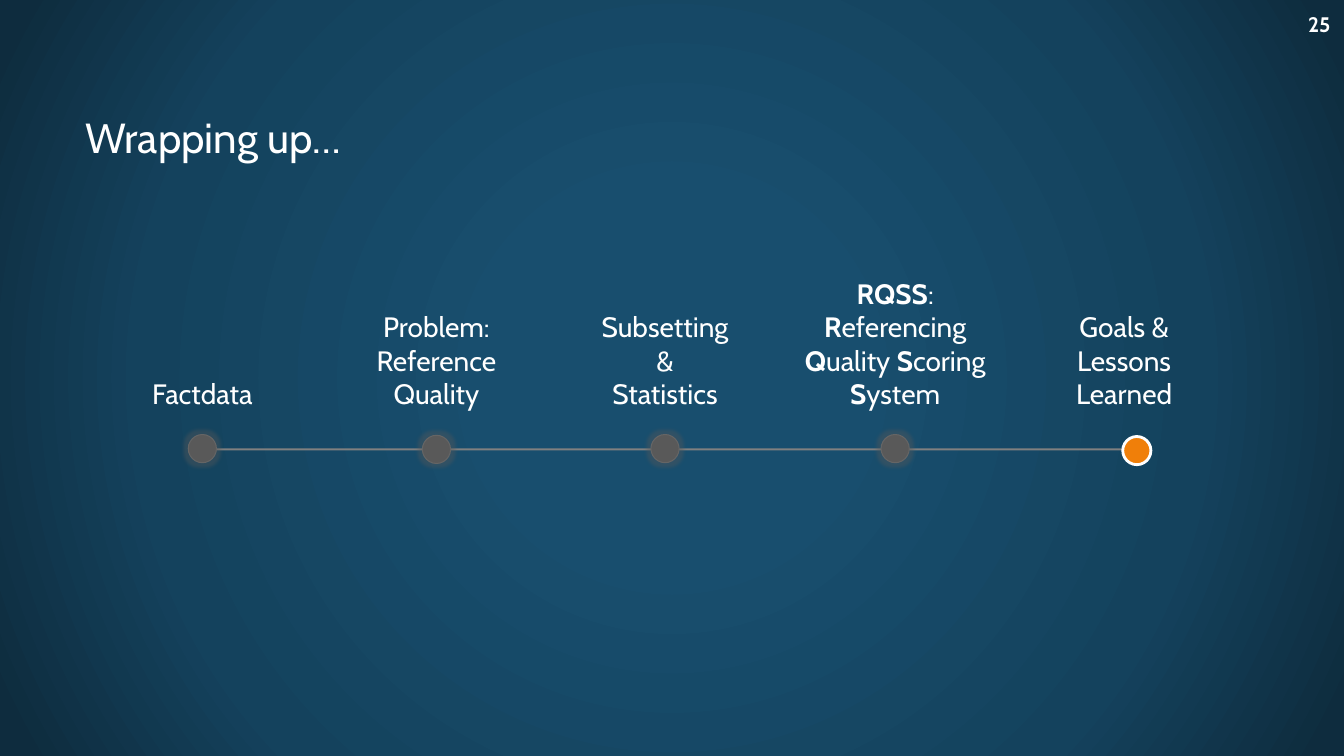
from pptx import Presentation
from pptx.dml.color import RGBColor
from pptx.enum.shapes import MSO_SHAPE
from pptx.enum.text import MSO_ANCHOR, PP_ALIGN
from pptx.oxml import parse_xml
from pptx.oxml.ns import nsdecls
from pptx.util import Cm, Pt

RECTANGLE, OVAL = MSO_SHAPE.RECTANGLE, MSO_SHAPE.OVAL
MIDDLE, BOTTOM = MSO_ANCHOR.MIDDLE, MSO_ANCHOR.BOTTOM
LEFT, CENTER, RIGHT = PP_ALIGN.LEFT, PP_ALIGN.CENTER, PP_ALIGN.RIGHT
WHITE = "FFFFFF"


def color(value):
    return RGBColor.from_string(value)


def write(box, lines, size, align, anchor, bold=False, inset=0.25):
    """Fill a box with paragraphs; text between asterisks is bold."""
    frame = box.text_frame
    settings = {"word_wrap": True, "vertical_anchor": anchor,
                "margin_left": Cm(inset), "margin_right": Cm(inset)}
    for name, value in settings.items():
        setattr(frame, name, value)
    for number, line in enumerate(lines):
        para = frame.add_paragraph() if number else frame.paragraphs[0]
        para.alignment = align
        for part, text in enumerate(line.split("*")):
            if not text:
                continue
            span = para.add_run()
            span.text = text
            span.font.color.rgb = color(WHITE)
            formats = {"name": "Cabin", "size": Pt(size), "bold": bold or part % 2 == 1}
            for name, value in formats.items():
                setattr(span.font, name, value)


deck = Presentation()
deck.slide_width, deck.slide_height = Cm(33.87), Cm(19.05)
page = deck.slides.add_slide(deck.slide_layouts[5])

# Radial background
page.background.fill.gradient()
background = page.element.cSld.bg.bgPr
stops = [(0, "184E6E"), (23, "184E6E"), (69, "14425D"), (97, "0E2C3E")]
stop_xml = "".join(f'<a:gs pos="{place * 1000}"><a:srgbClr val="{shade}"/></a:gs>'
                   for place, shade in stops)
background.replace(background[0], parse_xml(
    f'<a:gradFill {nsdecls("a")} rotWithShape="1"><a:gsLst>{stop_xml}</a:gsLst>'
    '<a:path path="circle"><a:fillToRect l="50000" t="50000" r="50000" b="50000"/>'
    '</a:path></a:gradFill>'))

# Title
title = page.shapes.title
title.left, title.top, title.width, title.height = Cm(1.9), Cm(1.7), Cm(30.12), Cm(3.5)
write(title, ["Wrapping up…"], 30, LEFT, MIDDLE)

# Timeline bar
bar = page.shapes.add_shape(RECTANGLE, Cm(5.23), Cm(11.3), Cm(23.4), Cm(0.05))
bar.shadow.inherit = False
bar.fill.solid()
bar.fill.fore_color.rgb = color("808080")
bar.line.fill.background()

# Milestones: label centre, label width, dot centre, dot top, lines
milestones = [
    (5.1, 3.63, 5.1, 10.95, ["Factdata"]),
    (11, 5.77, 11, 10.97, ["Problem:", "Reference Quality"]),
    (16.76, 3.91, 16.76, 10.95, ["Subsetting &", "Statistics"]),
    (22.56, 6.35, 22.56, 10.95,
     ["*RQSS*:", "*R*eferencing *Q*uality *S*coring *S*ystem"]),
    (28.33, 3.63, 28.65, 11, ["Goals & Lessons Learned"]),
]
DOT = 0.71
for center, width, dot_center, dot_top, lines in milestones:
    label = page.shapes.add_textbox(Cm(center - width / 2), Cm(7.8), Cm(width), Cm(2.67))
    write(label, lines, 20, CENTER, BOTTOM, inset=0.3)

    current = lines is milestones[-1][-1]
    fill, edge, weight = ("F07F09", WHITE, 2) if current else ("595959", "656565", 0.75)
    dot = page.shapes.add_shape(OVAL, Cm(dot_center - DOT / 2), Cm(dot_top), Cm(DOT), Cm(DOT))
    dot.shadow.inherit = False
    dot.fill.solid()
    dot.fill.fore_color.rgb = color(fill)
    dot.line.color.rgb = color(edge)
    dot.line.width = Pt(weight)
    if not current:
        # Soft glow around finished steps
        effects = dot.element.spPr.find("{*}effectLst")
        effects.append(parse_xml(
            f'<a:glow {nsdecls("a")} rad="63500"><a:srgbClr val="595959">'
            '<a:alpha val="40000"/></a:srgbClr></a:glow>'))

# Page number
page_number = page.shapes.add_textbox(Cm(30.28), Cm(0.1), Cm(3.5), Cm(1.04))
write(page_number, ["25"], 15, RIGHT, MIDDLE, bold=True)

deck.save("out.pptx")
